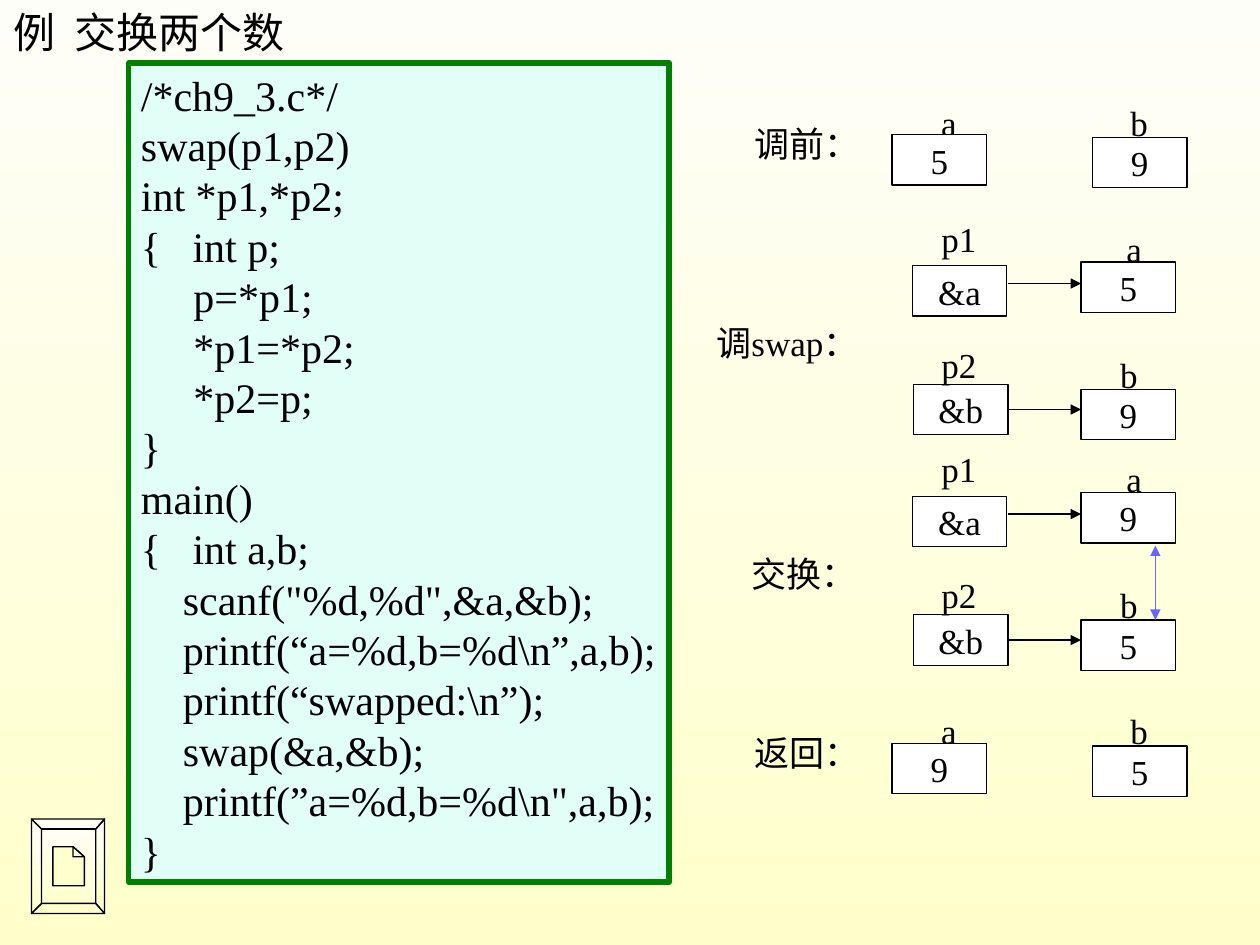
from lxml import etree
from pptx import Presentation
from pptx.dml.color import RGBColor
from pptx.enum.shapes import MSO_CONNECTOR as Connector, MSO_SHAPE as Shape
from pptx.enum.text import MSO_ANCHOR as Anchor, MSO_AUTO_SIZE as AutoSize, PP_ALIGN as Align
from pptx.oxml.ns import qn
from pptx.util import Inches, Pt

BLACK = RGBColor(0x00, 0x00, 0x00)
WHITE = RGBColor(0xFF, 0xFF, 0xFF)
CREAM = RGBColor(0xFE, 0xFE, 0xF8)
YELLOW = RGBColor(0xFF, 0xFF, 0xCC)
MINT = RGBColor(0xE1, 0xFF, 0xF7)
GREEN = RGBColor(0x00, 0x80, 0x00)
BLUE = RGBColor(0x66, 0x66, 0xFF)

CODE = r'''/*ch9_3.c*/
swap(p1,p2)
int *p1,*p2;
{   int p;
     p=*p1;
     *p1=*p2;
     *p2=p;
}
main()
{   int a,b;
    scanf("%d,%d",&a,&b);
    printf(“a=%d,b=%d\n”,a,b);
    printf(“swapped:\n”);
    swap(&a,&b);
    printf(”a=%d,b=%d\n",a,b);
}'''

ICON = [
    [(0.25, 6.5), (0.83, 6.5), (0.76, 6.58), (0.33, 6.58)],
    [(0.83, 6.5), (0.83, 7.25), (0.76, 7.17), (0.76, 6.58)],
    [(0.83, 7.25), (0.25, 7.25), (0.33, 7.17), (0.76, 7.17)],
    [(0.25, 7.25), (0.25, 6.5), (0.33, 6.58), (0.33, 7.17)],
    [(0.33, 6.58), (0.76, 6.58), (0.76, 7.17), (0.33, 7.17)],
    [(0.42, 6.72), (0.58, 6.72), (0.67, 6.8), (0.67, 7.03), (0.42, 7.03)],
    [(0.58, 6.72), (0.67, 6.8), (0.58, 6.8)],
]


class SwapSlide:
    """Holds the style and the page, and draws each kind of element."""

    font = "Times New Roman"

    def __init__(self, page):
        self.page = page

    def gradient(self, fill):
        fill.gradient()
        fill.gradient_angle = 270
        for stop, color, position in zip(fill.gradient_stops, (CREAM, YELLOW), (0, 1)):
            stop.color.rgb = color
            stop.position = position

    def set_text(self, box, text, size=20, align=Align.CENTER, anchor=Anchor.MIDDLE, grow=True):
        frame = box.text_frame
        frame.word_wrap = False
        frame.auto_size = AutoSize.SHAPE_TO_FIT_TEXT if grow else AutoSize.NONE
        frame.vertical_anchor = anchor
        for index, line in enumerate(text.split("\n")):
            para = frame.add_paragraph() if index else frame.paragraphs[0]
            para.alignment = align
            span = para.add_run()
            span.text = line
            span.font.name = self.font
            span.font.size = Pt(size)
            span.font.color.rgb = BLACK

    def label(self, text, left, top, width, height=0.44, **style):
        box = self.page.shapes.add_textbox(Inches(left), Inches(top), Inches(width), Inches(height))
        self.set_text(box, text, **style)

    def box(self, text, left, top, width=0.75, height=0.4, fill=WHITE, line=BLACK,
            weight=0.75, grow=False, **style):
        box = self.page.shapes.add_shape(
            Shape.RECTANGLE, Inches(left), Inches(top), Inches(width), Inches(height))
        box.shadow.inherit = False
        box.fill.solid()
        box.fill.fore_color.rgb = fill
        box.line.color.rgb = line
        box.line.width = Pt(weight)
        self.set_text(box, text, grow=grow, **style)
        return box

    def arrow(self, start, end, color=BLACK, heads=("tailEnd",)):
        arrow = self.page.shapes.add_connector(
            Connector.STRAIGHT, *(Inches(value) for value in start + end))
        arrow.line.color.rgb = color
        arrow.line.width = Pt(0.75)
        properties = arrow._element.spPr
        line = properties.find(qn("a:ln"))
        for head in heads:
            etree.SubElement(line, qn(f"a:{head}"), type="triangle")
        etree.SubElement(properties, qn("a:effectLst"))
        return arrow

    def outline(self, contours):
        points = [[(Inches(x), Inches(y)) for x, y in contour] for contour in contours]
        builder = self.page.shapes.build_freeform(*points[0][0])
        for index, contour in enumerate(points):
            if index:
                builder.move_to(*contour[0])
            builder.add_line_segments(contour[1:], close=True)
        icon = builder.convert_to_shape()
        icon.shadow.inherit = False
        self.gradient(icon.fill)
        icon.line.color.rgb = BLACK
        icon.line.width = Pt(0.75)

    def variables(self, title, top, a, b):
        self.label("a", 7.37, top, 0.32)
        self.box(a, 7.08, top + 0.32)
        self.box(b, 8.67, top + 0.34)
        self.label("b", 8.87, top, 0.34)
        self.label(title, 5.75, top + 0.17, 1.03)

    def pointers(self, title, left, width, top, a, b):
        self.label("a", 8.84, top + 0.08, 0.32)
        self.box(a, 8.58, top + 0.41)
        self.box(b, 8.58, top + 1.42)
        self.label("b", 8.79, top + 1.08, 0.34)
        self.label(title, left, top + 0.83, width)
        self.label("p1", 7.37, top, 0.48)
        self.box("&a", 7.24, top + 0.44)
        second = self.box("&b", 7.25, top + 1.38)
        self.label("p2", 7.37, top + 1, 0.48)
        self.arrow((8, top + 0.58), (8.58, top + 0.58))
        self.arrow((8, top + 1.58), (8.58, top + 1.58)).begin_connect(second, 3)


def main():
    deck = Presentation()
    deck.slide_width, deck.slide_height = Inches(10), Inches(7.5)
    slide = SwapSlide(deck.slides.add_slide(deck.slide_layouts[6]))
    slide.gradient(slide.page.background.fill)
    code_style = dict(size=24, align=Align.LEFT, anchor=Anchor.TOP)
    slide.box(CODE, 1.02, 0.5, 4.29, 6.5, fill=MINT, line=GREEN, weight=3, grow=True, **code_style)
    slide.outline(ICON)
    slide.label("例  交换两个数", 0.01, 0, 2.35, 0.5, **code_style)
    slide.variables("调前：", 0.75, "5", "9")
    slide.pointers("调swap：", 5.52, 1.46, 1.67, "5", "9")
    slide.pointers("交换：", 5.73, 1.03, 3.5, "9", "5")
    slide.arrow((9.17, 4.33), (9.17, 4.92), BLUE, ("headEnd", "tailEnd"))
    slide.variables("返回：", 5.58, "9", "5")
    deck.save("out.pptx")


if __name__ == "__main__":
    main()
